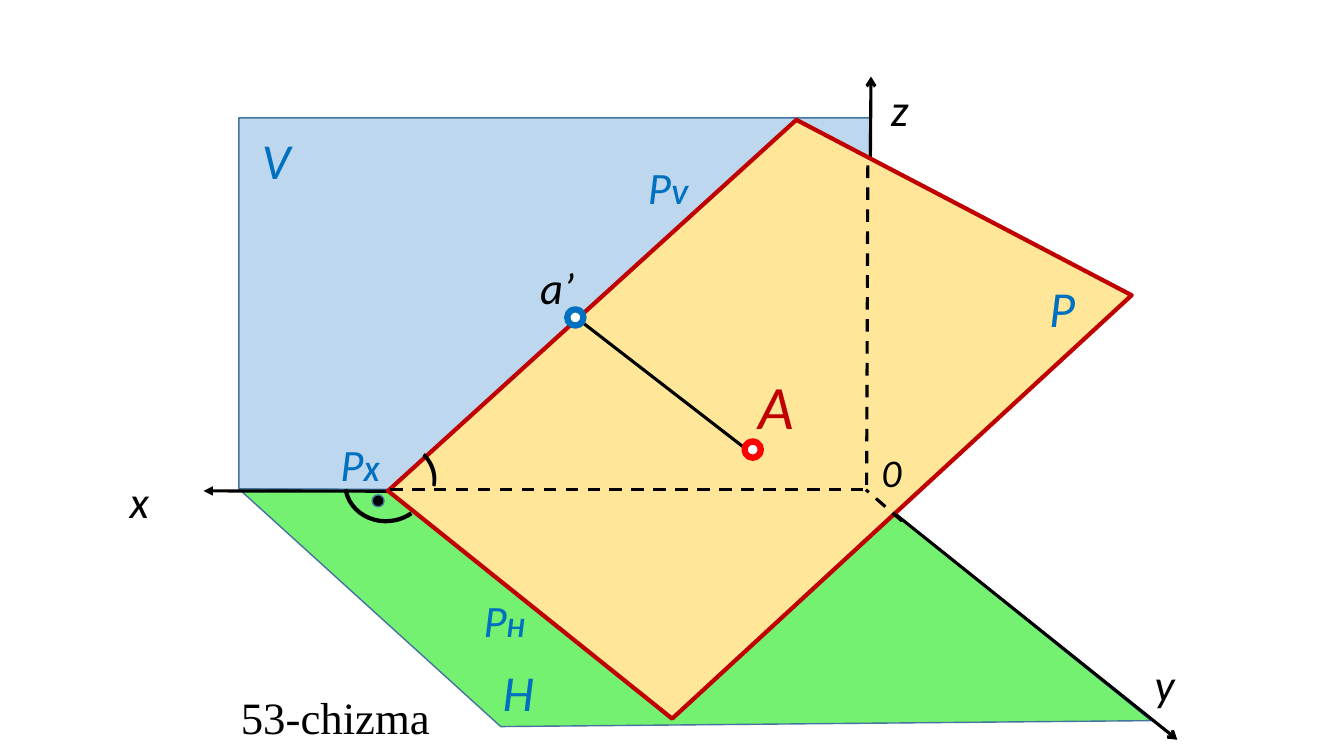
"""Draw figure 53: the plane P, its traces and a point A between planes V and H."""
from pptx import Presentation
from pptx import util as u
from pptx.dml.color import RGBColor
from pptx.enum import dml, shapes, text
from pptx.oxml.ns import qn
from lxml import etree

HUES = {
    "ink": "000000", "blue": "0070C0", "edge": "43739E", "sky": "BDD7EE",
    "green": "75F171", "sand": "FFE699", "wine": "C00000", "red": "FF0000",
    "white": "FFFFFF",
}


class Sketch:
    """Hold the style and the current slide, and draw each kind of element."""

    def __init__(self, slide, font="Calibri"):
        """Keep the slide and the font of its labels."""
        self.items = slide.shapes
        self.font = font

    def hue(self, name):
        """Return the named colour."""
        return RGBColor.from_string(HUES[name])

    def dress(self, shape, fill, line, width):
        """Set fill and outline and drop the shadow."""
        shape.shadow.inherit = False
        if fill:
            shape.fill.solid()
            shape.fill.fore_color.rgb = self.hue(fill)
        else:
            shape.fill.background()
        shape.line.color.rgb = self.hue(line)
        shape.line.width = u.Pt(width)

    def plane(self, points, fill, line="edge", width=1):
        """Draw a closed polygon through points in centimetres."""
        spots = [(u.Cm(x), u.Cm(y)) for x, y in points]
        path = self.items.build_freeform(*spots[0], scale=1)
        path.add_line_segments(spots[1:], close=True)
        self.dress(path.convert_to_shape(), fill, line, width)

    def line(self, start, end, head=None, dash=False):
        """Draw a straight line with an optional arrowhead at its start."""
        ends = [u.Cm(v) for v in (*start, *end)]
        link = self.items.add_connector(shapes.MSO_CONNECTOR.STRAIGHT, *ends)
        link.line.color.rgb = self.hue("ink")
        link.line.width = u.Pt(2.25)
        if dash:
            link.line.dash_style = dml.MSO_LINE.DASH
        if head:
            tip = etree.SubElement(link.line._get_or_add_ln(), qn("a:headEnd"))
            tip.set("type", head)
        etree.SubElement(link._element.spPr, qn("a:effectLst"))

    def dot(self, x, y, size, fill, line, width):
        """Draw a circle around its centre."""
        side = u.Cm(size)
        ring = self.items.add_shape(
            shapes.MSO_SHAPE.OVAL, u.Cm(x - size / 2), u.Cm(y - size / 2), side, side)
        self.dress(ring, fill, line, width)

    def arc(self, x, y, wide, high, turn, ends):
        """Draw an open arc."""
        bow = self.items.add_shape(
            shapes.MSO_SHAPE.ARC, u.Cm(x), u.Cm(y), u.Cm(wide), u.Cm(high))
        for i, end in enumerate(ends):
            bow.adjustments[i] = end
        bow.rotation = turn
        self.dress(bow, None, "ink", 3)

    def label(self, words, x, y, wide=2.26, size=32, color="ink", sub="",
              bold=False, italic=True, font=None, turn=0):
        """Write a label with an optional small bold index."""
        box = self.items.add_textbox(
            u.Cm(x), u.Cm(y), u.Cm(wide), u.Cm(size * 0.05))
        box.rotation = turn
        frame = box.text_frame
        frame.word_wrap = True
        frame.auto_size = text.MSO_AUTO_SIZE.SHAPE_TO_FIT_TEXT
        parts = [(words, size, bold)] + ([(sub, 20, True)] if sub else [])
        for part, points, heavy in parts:
            run = frame.paragraphs[0].add_run()
            run.text = part
            run.font.name = font or self.font
            run.font.size = u.Pt(points)
            run.font.bold = heavy
            run.font.italic = italic
            run.font.color.rgb = self.hue(color)


def main():
    """Build and save the slide."""
    deck = Presentation()
    deck.slide_width, deck.slide_height = u.Cm(33.87), u.Cm(19.05)
    art = Sketch(deck.slides.add_slide(deck.slide_layouts[6]))

    zero = (21.87, 12.4)
    left = (6.02, 12.32)
    art.plane([(6.02, 2.97), (21.92, 2.97), (21.84, 12.37), left], "sky")
    art.plane([left, (21.89, 12.42), (29.01, 18.16), (12.62, 18.31)], "green")
    for tip, head in (((29.67, 18.64), "arrow"), ((5.13, 12.37), "triangle"),
                      ((21.95, 1.93), "arrow")):
        art.line(tip, zero, head=head)
    art.plane([(20.07, 3.02), (28.52, 7.44), (16.94, 18.11), (9.78, 12.37)],
              "sand", "wine", 3)

    for start, end in (((9.83, 12.34), (21.87, 12.34)),
                       ((22.73, 13.13), (21.82, 12.34)),
                       ((21.87, 4.17), (21.84, 12.22))):
        art.line(start, end, dash=True)
    art.line((14.58, 8.05), (18.95, 11.43))

    for name, x, y in (("x", 3.02, 11.81), ("y", 28.85, 16.43), ("z", 22.2, 1.93)):
        art.label(name, x, y, wide=1.04)
    for name, x, y in (("V", 6.35, 3.12), ("H", 12.42, 16.54), ("P", 26.19, 6.86)):
        art.label(name, x, y, size=36, color="blue")
    for sub, x, y in (("H", 11.94, 14.81), ("V", 16.08, 3.91), ("X", 8.33, 10.87)):
        art.label("P", x, y, color="blue", sub=sub)
    art.label("0", 21.97, 11.18, size=28)
    art.label("A", 18.87, 9.14, wide=1.22, size=44, color="wine")
    art.label("a’", 13.36, 6.43, wide=1.52)
    art.label("(", 10.52, 11.23, wide=0.81, size=28, bold=True, turn=154.8)
    art.label("53-chizma", 5.82, 17.25, wide=5.4, italic=False,
              font="Times New Roman")

    art.dot(14.5, 8, 0.41, "white", "blue", 4.5)
    art.dot(18.97, 11.33, 0.41, "white", "red", 4.5)
    art.arc(8.69, 11.15, 2.13, 1.98, 167, (147.22, 1.54))
    art.dot(9.53, 12.62, 0.3, "ink", "edge", 1)
    deck.save("out.pptx")


if __name__ == "__main__":
    main()
